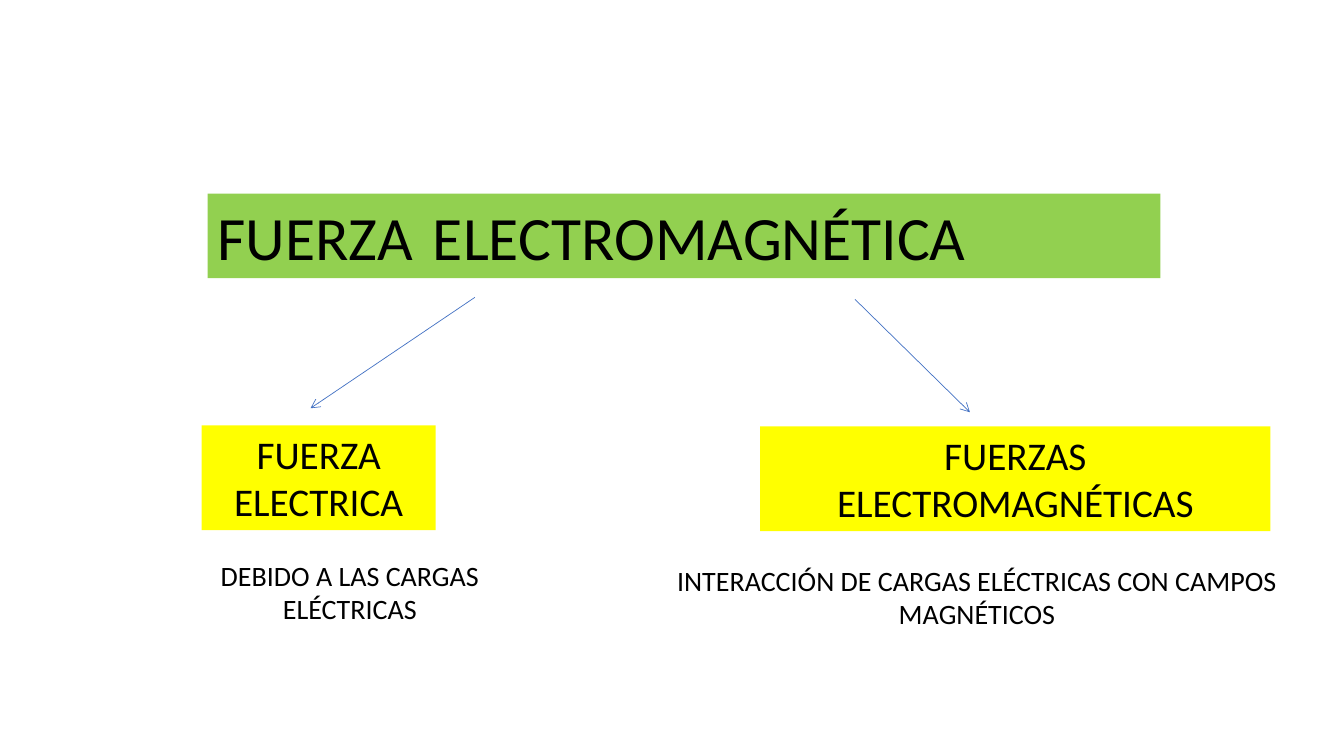
import pptx
import pptx.util
import pptx.dml.color
import pptx.enum.shapes
import pptx.enum.text
import pptx.oxml
import pptx.oxml.ns

Inches = pptx.util.Inches
ALIGN = pptx.enum.text.PP_ALIGN


def colour(hex_value):
    return pptx.dml.color.RGBColor.from_string(hex_value)


def add_label(area, runs, align, fill=None):
    left, top, width, height = (Inches(value) for value in area)
    if fill:
        label = slide.shapes.add_shape(
            pptx.enum.shapes.MSO_SHAPE.RECTANGLE, left, top, width, height)
        label.shadow.inherit = False
        label.fill.solid()
        label.fill.fore_color.rgb = colour(fill)
        label.line.fill.background()
    else:
        label = slide.shapes.add_textbox(left, top, width, height)
    frame_format = {"word_wrap": True,
                    "vertical_anchor": pptx.enum.text.MSO_ANCHOR.TOP,
                    "auto_size": pptx.enum.text.MSO_AUTO_SIZE.SHAPE_TO_FIT_TEXT}
    for attribute, value in frame_format.items():
        setattr(label.text_frame, attribute, value)
    paragraph = label.text_frame.paragraphs[0]
    paragraph.alignment = align
    for text, size in runs:
        run = paragraph.add_run()
        run.text = text
        for attribute, value in {"name": "Calibri", "size": pptx.util.Pt(size)}.items():
            setattr(run.font, attribute, value)
        run.font.color.rgb = colour("000000")


presentation = pptx.Presentation()
presentation.slide_width = Inches(13.33)
presentation.slide_height = Inches(7.5)
slide = presentation.slides.add_slide(presentation.slide_layouts[6])

# Main concept
add_label((2.06, 1.92, 9.45, 0.84),
          [("FUERZA ", 44), (" ", 18), ("ELECTROMAGNÉTICA", 44)],
          ALIGN.LEFT, "92D050")

# Branches: force, its explanation and the arrow leading to it
branches = [
    ("FUERZA ELECTRICA", (2, 4.22, 2.32, 1.04),
     "DEBIDO A LAS CARGAS ELÉCTRICAS", (1.57, 5.49, 3.8, 0.77),
     (4.71, 2.95, 3.08, 4.05)),
    ("FUERZAS ELECTROMAGNÉTICAS", (7.54, 4.23, 5.06, 1.04),
     "INTERACCIÓN DE CARGAS ELÉCTRICAS CON CAMPOS MAGNÉTICOS",
     (6.32, 5.54, 6.74, 0.77),
     (8.48, 2.97, 9.62, 4.09)),
]
for force, force_area, cause, cause_area, arrow_ends in branches:
    add_label(force_area, [(force, 28)], ALIGN.CENTER, "FFFF00")
    add_label(cause_area, [(cause, 20)], ALIGN.CENTER)

    arrow = slide.shapes.add_connector(
        pptx.enum.shapes.MSO_CONNECTOR.STRAIGHT,
        *(Inches(value) for value in arrow_ends))
    arrow.line.color.rgb = colour("4472C4")
    arrow.line.width = pptx.util.Pt(0.5)
    arrowhead = pptx.oxml.parse_xml(
        f'<a:tailEnd {pptx.oxml.ns.nsdecls("a")} type="arrow"/>')
    arrow.line._get_or_add_ln().append(arrowhead)
    no_shadow = pptx.oxml.parse_xml(
        f'<a:effectLst {pptx.oxml.ns.nsdecls("a")}/>')
    arrow._element.spPr.append(no_shadow)

presentation.save("out.pptx")
